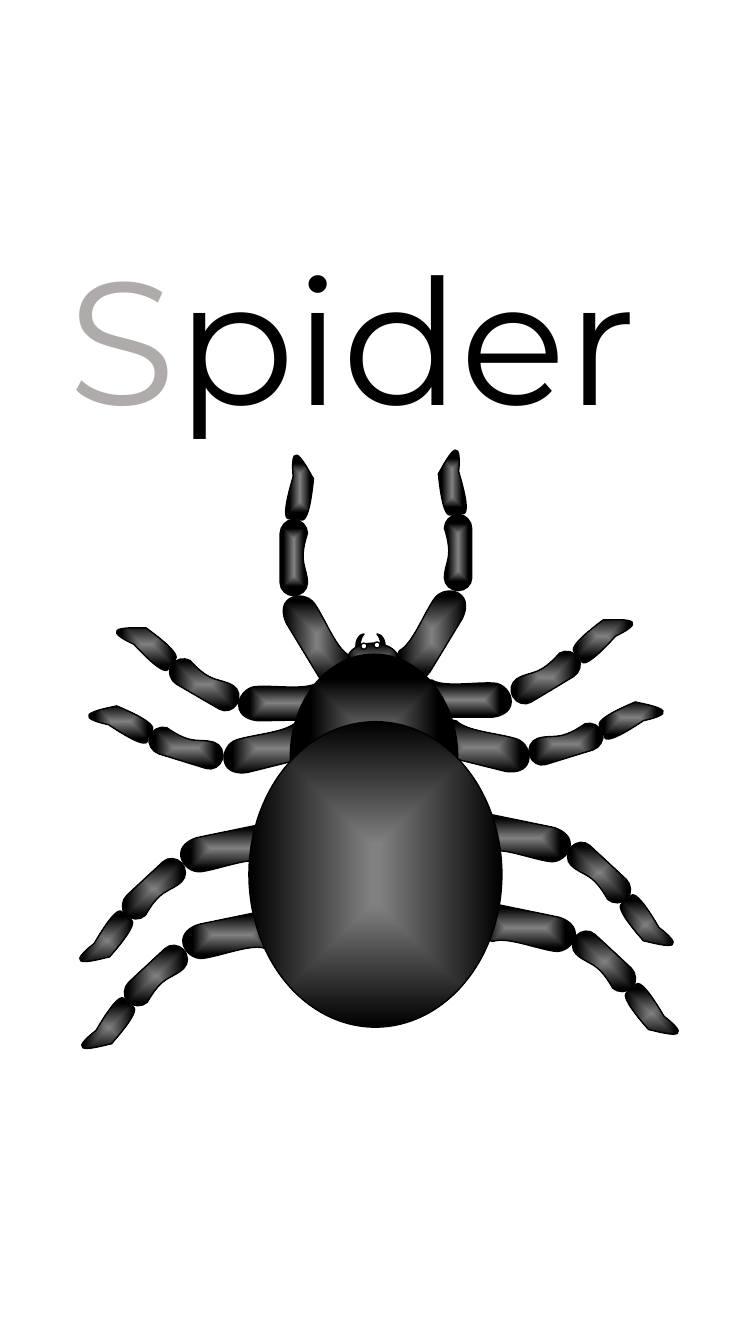
from collections import namedtuple
from math import cos, radians, sin

from lxml import etree
from pptx import Presentation
from pptx.dml.color import RGBColor
from pptx.enum.shapes import MSO_SHAPE as Preset
from pptx.enum.text import MSO_ANCHOR as Anchor, MSO_AUTO_SIZE as AutoSize, PP_ALIGN as Align
from pptx.oxml import parse_xml
from pptx.oxml.ns import nsdecls, qn
from pptx.util import Pt

BLACK, WHITE, GLOW, LETTER = "000000", "FFFFFF", "808080", "AFABAB"
KNEE_BEND = 33.8
CLAW_SHIFT = (4.3, -49.7)
GRID = 10

Outline = namedtuple("Outline", "width height start curves")
THIGH = Outline(26.5, 71.5, (2, 13.5), [
    ((3, 6.5), (6.5, 0), (13.5, 0)),
    ((20, 0), (26.5, 6), (26.5, 13)),
    ((26.5, 28), (21.5, 48), (26.5, 57.5)),
    ((26.5, 65.5), (21, 71.5), (13, 71.5)),
    ((6.5, 71.5), (0, 65.5), (0, 58)),
])
SHIN = Outline(19.5, 54.5, (0, 10), [
    ((0, 5), (4.5, 0), (9.5, 0)),
    ((15, 0), (19.5, 5), (19.5, 10)),
    ((12.5, 31.5), (19.5, 34), (19.5, 45.5)),
    ((19.5, 50.5), (15, 54.5), (9.5, 54.5)),
    ((4.5, 54.5), (0, 50.5), (0, 45.5)),
])
CLAW = Outline(19.5, 46, (5, 15), [
    ((2, -19), (17, 13), (19.5, 16.5)),
    ((15, 60.5), (8.5, 41), (6.5, 45.5)),
    ((6.5, 40.5), (-8, 58.5), (5, 15)),
])

Leg = namedtuple("Leg", "thigh shin angle mirrored")
LEGS = [
    Leg((226.4, 457.6), (209.9, 398.2), 326.2, False),
    Leg((308.5, 454), (327.2, 394.6), 33.8, True),
    Leg((329.4, 500), (389.9, 483.8), 92.8, True),
    Leg((206.3, 502.2), (145.8, 488.9), 266.4, False),
    Leg((194.8, 534.6), (132.8, 534.2), 253.4, False),
    Leg((343.1, 533.9), (404.3, 531.4), 106.6, True),
    Leg((375.5, 662.8), (431.6, 686.9), 99.1, False),
    Leg((166, 667.8), (111.2, 697), 260.9, True),
    Leg((164.5, 605.9), (109.8, 635), 260.9, True),
    Leg((371.9, 598.7), (428, 623.5), 99.1, False),
]


def rgb(code):
    return RGBColor.from_string(code)


def add_run(paragraph, text, size=125, color=BLACK, font="Montserrat"):
    run = paragraph.add_run()
    run.text = text
    run.font.size = Pt(size)
    run.font.name = font
    run.font.color.rgb = rgb(color)


def draw_curves(path, outline, mirrored):
    for child in list(path):
        path.remove(child)
    for tag, points in [("moveTo", [outline.start])] + [("cubicBezTo", c) for c in outline.curves]:
        command = etree.SubElement(path, qn(f"a:{tag}"))
        for x, y in points:
            across = outline.width - x if mirrored else x
            etree.SubElement(command, qn("a:pt"),
                             x=str(round(across * GRID)), y=str(round(y * GRID)))
    etree.SubElement(path, qn("a:close"))


class SpiderSlide:
    """Draws the word and the shaded parts of the spider on one slide."""

    def __init__(self, presentation):
        self.slide = presentation.slides.add_slide(presentation.slide_layouts[5])
        self.spider = self.slide.shapes.add_group_shape().shapes

    def title(self, left, top, width, height, letters):
        word = self.slide.shapes.title
        word.left, word.top, word.width, word.height = map(Pt, (left, top, width, height))
        frame = word.text_frame
        frame.word_wrap = True
        frame.auto_size = AutoSize.NONE
        frame.vertical_anchor = Anchor.TOP
        line = frame.paragraphs[0]
        line.alignment = Align.LEFT
        for text, color in letters:
            add_run(line, text, color=color)

    def finish(self, shape, fill, glow_end=None, glow_start=0):
        shape.shadow.inherit = False
        shape.line.color.rgb = rgb(BLACK)
        shape.line.width = Pt(1)
        if glow_end is None:
            shape.fill.solid()
            shape.fill.fore_color.rgb = rgb(fill)
            return
        shape.fill.background()
        gradient = parse_xml(f'<a:gradFill {nsdecls("a")} rotWithShape="1"/>')
        stops = etree.SubElement(gradient, qn("a:gsLst"))
        for place, color in ((glow_start, fill), (glow_end, BLACK)):
            stop = etree.SubElement(stops, qn("a:gs"), pos=str(place * 1000))
            etree.SubElement(stop, qn("a:srgbClr"), val=color)
        spread = etree.SubElement(gradient, qn("a:path"), path="shape")
        etree.SubElement(spread, qn("a:fillToRect"), l="50000", t="50000", r="50000", b="50000")
        properties = shape._element.spPr
        properties.replace(properties.find(qn("a:noFill")), gradient)

    def preset(self, kind, left, top, width, height, fill, rotation=0, **glow):
        shape = self.spider.add_shape(kind, *map(Pt, (left, top, width, height)))
        shape.rotation = rotation
        self.finish(shape, fill, **glow)

    def segment(self, outline, center, angle, mirrored):
        builder = self.spider.build_freeform(0, 0, scale=Pt(1 / GRID))
        builder.add_line_segments([(outline.width * GRID, outline.height * GRID)])
        shape = builder.convert_to_shape(
            Pt(center[0] - outline.width / 2), Pt(center[1] - outline.height / 2))
        draw_curves(next(shape._element.iter(qn("a:path"))), outline, mirrored)
        shape.rotation = angle % 360
        self.finish(shape, GLOW, glow_end=76)

    def leg(self, leg):
        side = -1 if leg.mirrored else 1
        angle = leg.angle + side * KNEE_BEND
        turn = radians(angle)
        across, along = side * CLAW_SHIFT[0], CLAW_SHIFT[1]
        claw = (leg.shin[0] + across * cos(turn) - along * sin(turn),
                leg.shin[1] + across * sin(turn) + along * cos(turn))
        self.segment(THIGH, leg.thigh, leg.angle, leg.mirrored)
        self.segment(SHIN, leg.shin, angle, leg.mirrored)
        self.segment(CLAW, claw, angle, leg.mirrored)


def main():
    presentation = Presentation()
    presentation.slide_width, presentation.slide_height = Pt(540), Pt(960)
    page = SpiderSlide(presentation)
    page.title(41.8, 161.3, 498, 158.4, [("S", LETTER), ("pider", BLACK)])
    for left, rotation in ((254.2, 0), (269.3, 180)):
        page.preset(Preset.MOON, left, 452.9, 5.8, 17.3, BLACK, rotation)
    page.preset(Preset.OVAL, 247.7, 459.4, 37.4, 25.2, GLOW, glow_end=100)
    for leg in LEGS:
        page.leg(leg)
    page.preset(Preset.OVAL, 207.4, 467.3, 119.5, 146.2, GLOW, glow_end=76)
    page.preset(Preset.OVAL, 177.8, 515.5, 180.7, 218.2, GLOW, glow_end=100, glow_start=3)
    for left, top in ((257.8, 459.4), (267.1, 458.6)):
        page.preset(Preset.OVAL, left, top, 4.3, 4.3, WHITE)
    presentation.save("out.pptx")


if __name__ == "__main__":
    main()
